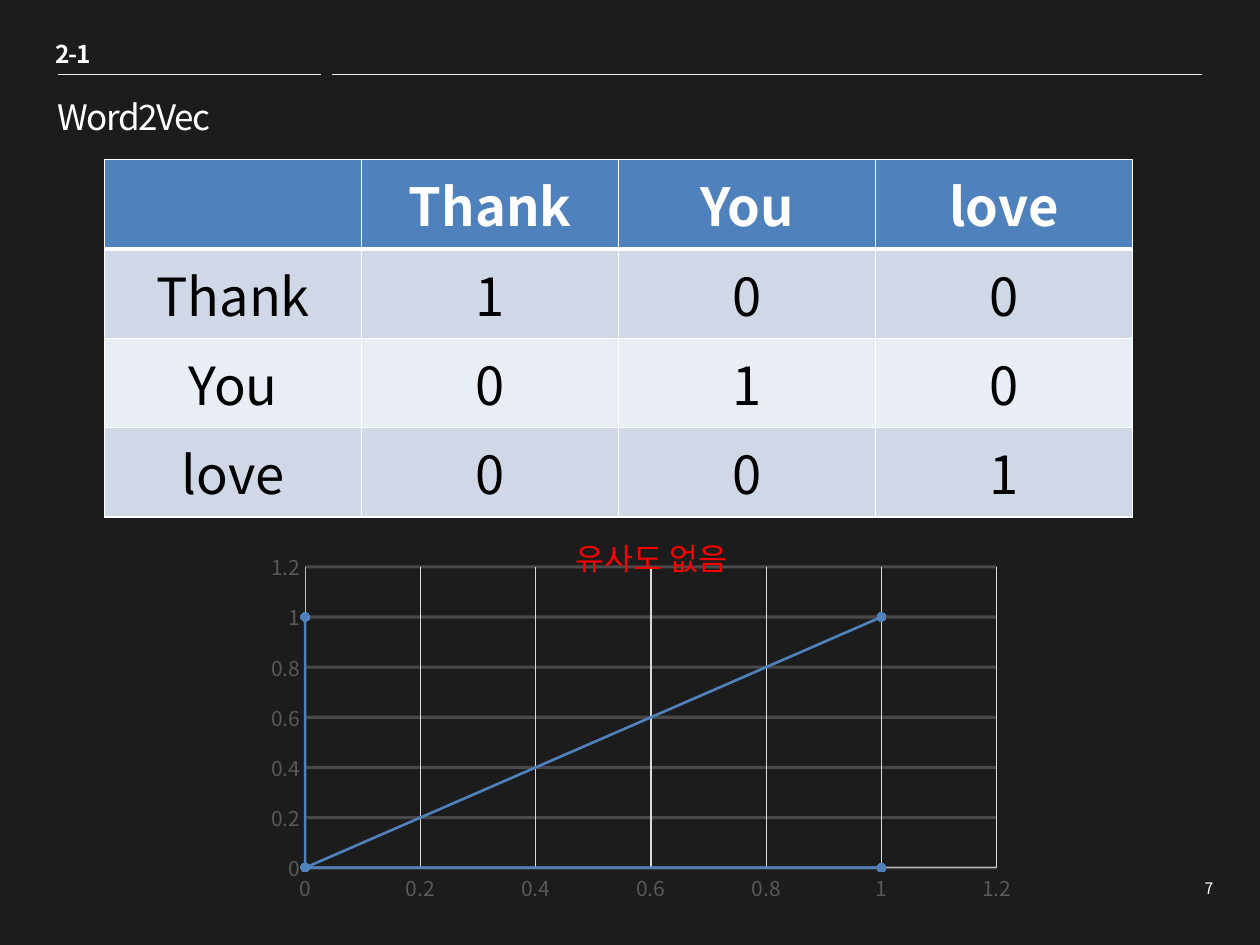
from dataclasses import dataclass

from lxml.etree import SubElement
from pptx import Presentation
from pptx.chart.data import XyChartData
from pptx.dml.color import RGBColor
from pptx.enum.chart import XL_CHART_TYPE as ChartType, XL_MARKER_STYLE as Marker, XL_TICK_MARK as Tick
from pptx.enum.shapes import MSO_CONNECTOR as Connector
from pptx.enum.text import MSO_ANCHOR as Anchor, MSO_AUTO_SIZE as AutoSize, PP_ALIGN as Align
from pptx.oxml.ns import qn
from pptx.util import Cm, Pt


@dataclass(frozen=True)
class Theme:
    font: str = "Noto Sans CJK KR"
    back: str = "1C1C1C"
    white: str = "FFFFFF"
    black: str = "000000"
    rule: str = "F2F2F2"
    accent: str = "4F81BD"
    bands: tuple = ("D0D8E8", "E9EDF4")
    alert: str = "FF0000"
    label: str = "595959"
    axis: str = "BFBFBF"
    grid: str = "D9D9D9"
    section_size: float = 14
    title_size: float = 20
    cell_size: float = 30
    chart_title_size: float = 18
    axis_size: float = 12
    page_size: float = 9


def assign(obj, **values):
    for name, value in values.items():
        setattr(obj, name, value)


def rgb(value):
    return RGBColor.from_string(value)


def paint(fill, color):
    fill.solid()
    fill.fore_color.rgb = rgb(color)


def stroke(line, color, width):
    paint(line.fill, color)
    line.width = Pt(width)


def place(parent, index, **values):
    for old in parent.findall(qn("c:layout")):
        parent.remove(old)
    layout = SubElement(parent, qn("c:layout"))
    manual = SubElement(layout, qn("c:manualLayout"))
    for name, value in values.items():
        SubElement(manual, qn(f"c:{name}"), val=str(value))
    parent.insert(index, layout)


class Deck:
    def __init__(self, theme):
        self.theme = theme
        self.prs = Presentation()
        assign(self.prs, slide_width=Cm(25.4), slide_height=Cm(19.05))
        self.slide = None

    def add_slide(self):
        self.slide = self.prs.slides.add_slide(self.prs.slide_layouts[5])
        paint(self.slide.background.fill, self.theme.back)

    def add_text(self, tf, text, size, color, bold=False, align=Align.LEFT, spacing=0):
        p = tf.paragraphs[0]
        p.alignment = align
        r = p.add_run()
        r.text = text
        assign(r.font, name=self.theme.font, size=Pt(size), bold=bold)
        r.font.color.rgb = rgb(color)
        rpr = r.font._element
        SubElement(rpr, qn("a:ea"), typeface=self.theme.font)
        if spacing:
            rpr.set("spc", str(round(spacing * 100)))

    def title(self, text, left, top, width, height):
        sp = self.slide.shapes.title
        assign(sp, left=Cm(left), top=Cm(top), width=Cm(width), height=Cm(height))
        assign(sp.text_frame, auto_size=AutoSize.NONE, vertical_anchor=Anchor.MIDDLE)
        self.add_text(sp.text_frame, text, self.theme.title_size, self.theme.white, spacing=-0.9)

    def text_box(self, text, left, top, width, height, size, **style):
        sp = self.slide.shapes.add_textbox(Cm(left), Cm(top), Cm(width), Cm(height))
        assign(sp.text_frame, word_wrap=False, auto_size=AutoSize.SHAPE_TO_FIT_TEXT)
        self.add_text(sp.text_frame, text, size, self.theme.white, **style)

    def rule(self, left, right, y):
        s = self.slide.shapes.add_connector(Connector.STRAIGHT, Cm(left), Cm(y), Cm(right), Cm(y))
        stroke(s.line, self.theme.rule, 0.25)
        SubElement(s._element.spPr, qn("a:effectLst"))

    def borders(self, cell, **widths):
        tcpr = cell._tc.get_or_add_tcPr()
        for index, (side, width) in enumerate(widths.items()):
            ln = SubElement(tcpr, qn(f"a:ln{side}"), w=str(Pt(width)))
            fill = SubElement(ln, qn("a:solidFill"))
            SubElement(fill, qn("a:srgbClr"), val=self.theme.white)
            tcpr.insert(index, ln)

    def table(self, rows, left, top, col_width, row_height):
        th = self.theme
        n_rows, n_cols = len(rows), len(rows[0])
        size = Cm(col_width * n_cols), Cm(row_height * n_rows)
        table = self.slide.shapes.add_table(n_rows, n_cols, Cm(left), Cm(top), *size).table
        for col in table.columns:
            col.width = Cm(col_width)
        for i, values in enumerate(rows):
            table.rows[i].height = Cm(row_height)
            head = i == 0
            for j, value in enumerate(values):
                cell = table.cell(i, j)
                paint(cell.fill, th.accent if head else th.bands[(i - 1) % 2])
                self.borders(cell, L=1, R=1, T=3 if i == 1 else 1, B=3 if head else 1)
                if value:
                    self.add_text(cell.text_frame, value, th.cell_size,
                                  th.white if head else th.black, head, Align.CENTER)

    def axis(self, axis, grid_color, grid_width):
        th = self.theme
        assign(axis, minimum_scale=0, maximum_scale=1.2, major_unit=0.2,
               has_major_gridlines=True, major_tick_mark=Tick.NONE, minor_tick_mark=Tick.NONE)
        assign(axis.tick_labels, number_format="General", number_format_is_linked=False)
        assign(axis.tick_labels.font, name=th.font, size=Pt(th.axis_size))
        axis.tick_labels.font.color.rgb = rgb(th.label)
        stroke(axis.format.line, th.axis, 0.75)
        stroke(axis.major_gridlines.format.line, grid_color, grid_width)

    def scatter(self, title, points, left, top, width, height):
        th = self.theme
        data = XyChartData()
        series = data.add_series("Series 1")
        for x, y in points:
            series.add_data_point(x, y)
        chart = self.slide.shapes.add_chart(ChartType.XY_SCATTER_LINES, Cm(left), Cm(top),
                                            Cm(width), Cm(height), data).chart
        assign(chart, has_legend=False, has_title=True)
        assign(chart.font, name=th.font, size=Pt(10))
        chart.plots[0].vary_by_categories = False
        self.add_text(chart.chart_title.text_frame, title, th.chart_title_size, th.alert,
                      align=Align.CENTER)
        place(chart.chart_title._element, 1, xMode="edge", yMode="edge", x=0.4, y=0.06)
        place(chart._chartSpace.chart.plotArea, 0, layoutTarget="inner", xMode="edge",
              yMode="edge", x=0.06, y=0.165, w=0.888, h=0.771)

        self.axis(chart.category_axis, th.grid, 0.75)
        self.axis(chart.value_axis, th.white, 1.75)
        grid = chart.value_axis.major_gridlines.format.line.fill._xPr
        SubElement(grid.find(".//" + qn("a:srgbClr")), qn("a:alpha"), val="20000")

        s = chart.plots[0].series[0]
        s.smooth = False
        stroke(s.format.line, th.accent, 1.5)
        assign(s.marker, style=Marker.CIRCLE, size=5)
        paint(s.marker.format.fill, th.accent)
        stroke(s.marker.format.line, th.accent, 0.75)


def main():
    theme = Theme()
    deck = Deck(theme)
    deck.add_slide()
    deck.text_box("2-1", 0.86, 0.66, 1.24, 0.86, theme.section_size, bold=True, spacing=-0.5)
    deck.rule(1.17, 6.48, 1.5)
    deck.rule(6.7, 24.23, 1.5)
    deck.text_box("7", 24, 17.6, 0.71, 0.64, theme.page_size, align=Align.RIGHT)
    deck.title("Word2Vec", 0.91, 1.55, 5.26, 1.6)

    words = ["Thank", "You", "love"]
    one_hot = [[word, *(str(int(word == other)) for other in words)] for word in words]
    deck.table([["", *words], *one_hot], 2.11, 3.22, 5.18, 1.8)

    points = [(0, 0), (1, 1), (0, 0), (1, 0), (0, 0), (0, 1)]
    deck.scatter("유사도 없음", points, 5.21, 10.13, 15.7, 8.08)
    deck.prs.save("out.pptx")


if __name__ == "__main__":
    main()
